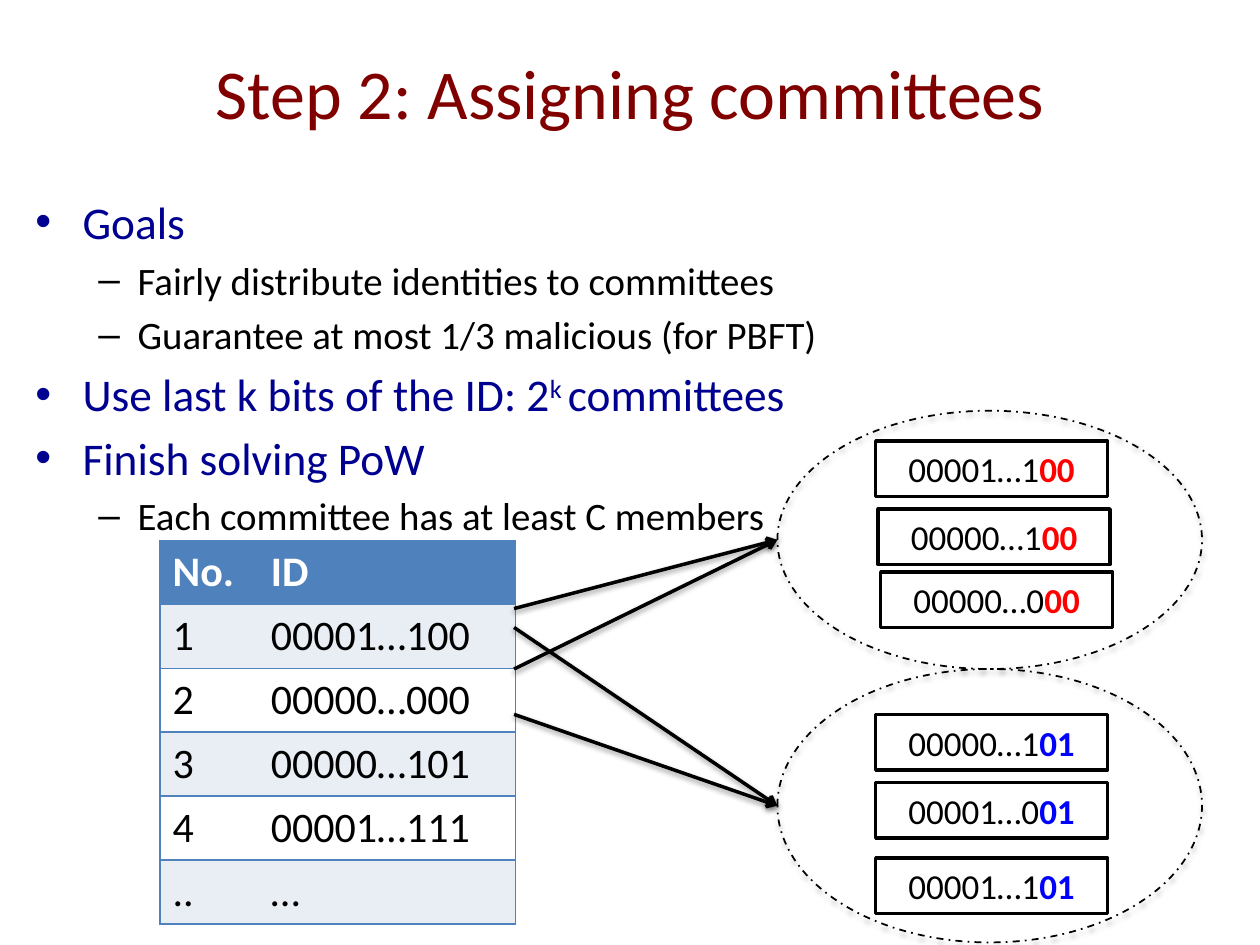
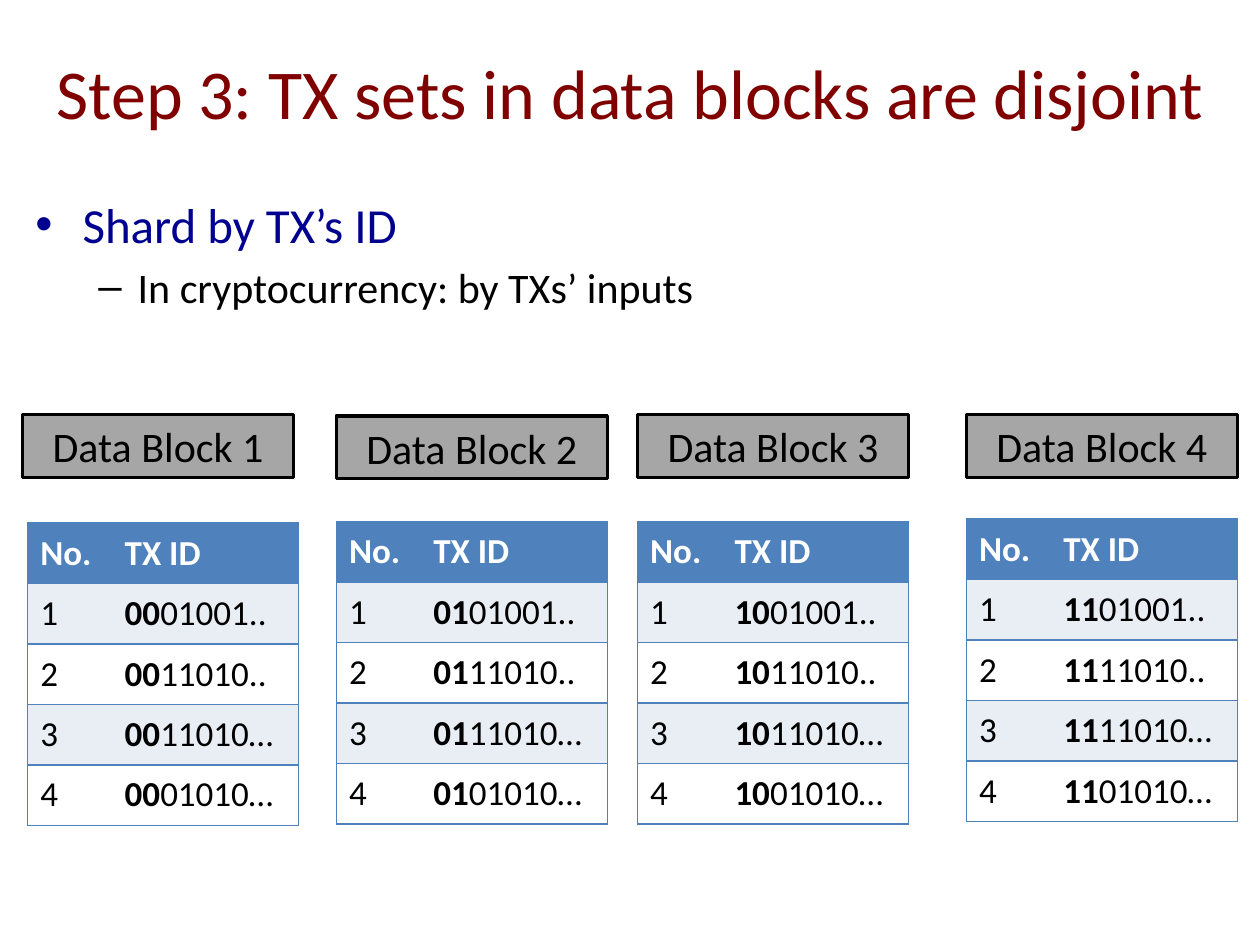
"""Build two slides on committee assignment and disjoint transaction sets."""
from lxml import etree
from pptx import Presentation
from pptx.dml import color
from pptx.enum import dml, shapes, text
from pptx.oxml import ns
from pptx.util import Inches, Pt

FONT = "Calibri"
COLORS = {
    "title": "800000", "topic": "000090", "text": "000000", "white": "FFFFFF",
    "header": "4F81BD", "band": "E9EDF4", "block": "A6A6A6",
    "red": "FF0000", "blue": "0000FF",
}

STEP_2 = "Step 2: Assigning committees"
GOALS = [
    (0, ["Goals"]),
    (1, ["Fairly distribute identities to committees"]),
    (1, ["Guarantee at most 1/3 malicious (for PBFT)"]),
    (0, ["Use last k bits of the ID: 2", "k ", "committees"]),
    (0, ["Finish solving PoW"]),
    (1, ["Each committee has at least C members"]),
]
IDENTITIES = [
    ("No.", "ID"), ("1", "00001…100"), ("2", "00000…000"),
    ("3", "00000…101"), ("4", "00001…111"), ("..", "…"),
]
COMMITTEES = [
    {"top": 3.26, "height": 2.05, "suffix": "00", "color": "red", "arrows_from": [4.83, 5.31],
     "members": [("00001…1", 6.95, 3.5), ("00000…1", 6.97, 4.04), ("00000…0", 6.99, 4.54)]},
    {"top": 5.31, "height": 2.17, "suffix": "01", "color": "blue", "arrows_from": [5.67, 4.98],
     "members": [("00000…1", 6.95, 5.67), ("00001…0", 6.95, 6.21), ("00001…1", 6.95, 6.81)]},
]
COMMITTEE_LEFT, COMMITTEE_WIDTH = 6.17, 3.37
TABLE_RIGHT = 4.08

STEP_3 = "Step 3: TX sets in data blocks are disjoint"
SHARDING = [(0, ["Shard by TX’s ID"]), (1, ["In cryptocurrency: by TXs’ inputs"])]
TX_TAILS = ["01001..", "11010..", "11010…", "01010…"]
BLOCKS = [
    {"prefix": "00", "label_at": (0.18, 3.29), "table_at": (0.22, 4.15)},
    {"prefix": "01", "label_at": (2.67, 3.3), "table_at": (2.67, 4.14)},
    {"prefix": "10", "label_at": (5.06, 3.29), "table_at": (5.06, 4.14)},
    {"prefix": "11", "label_at": (7.67, 3.29), "table_at": (7.67, 4.12)},
]


def rgb(name):
    return color.RGBColor.from_string(COLORS[name])


def style(font, size, name, bold=None):
    font.name, font.size, font.bold = FONT, Pt(size), bold
    font.color.rgb = rgb(name)


def add_slide(prs, title, bullets, height, sizes):
    s = prs.slides.add_slide(prs.slide_layouts[1])
    head, body = s.placeholders
    for sp, box in ((head, (0, 0.3, 10, 0.86)), (body, (0.18, 1.49, 9.63, height))):
        sp.left, sp.top, sp.width, sp.height = map(Inches, box)
        sp.text_frame.auto_size = text.MSO_AUTO_SIZE.NONE
    head.text_frame.text = title
    style(head.text_frame.paragraphs[0].font, 40, "title")
    tf = body.text_frame
    for i, (level, parts) in enumerate(bullets):
        p = tf.add_paragraph() if i else tf.paragraphs[0]
        p.level = level
        style(p.font, sizes[level], ("topic", "text")[level])
        for j, part in enumerate(parts):
            r = p.add_run()
            r.text = part
            if j == 1:
                r._r.get_or_add_rPr().set("baseline", "30000")
    return s


def add_shadow(sp, distance, alpha):
    effects = etree.SubElement(sp._element.spPr, ns.qn("a:effectLst"))
    shadow = etree.SubElement(effects, ns.qn("a:outerShdw"), blurRad="40000",
                              dist=str(distance), dir="5400000", rotWithShape="0")
    tint = etree.SubElement(shadow, ns.qn("a:srgbClr"), val=COLORS["text"])
    etree.SubElement(tint, ns.qn("a:alpha"), val=str(alpha))


def add_box(s, box, fill, size, label, suffix="", suffix_color="text"):
    sp = s.shapes.add_shape(shapes.MSO_SHAPE.RECTANGLE, *map(Inches, box))
    sp.shadow.inherit = False
    sp.fill.solid()
    sp.fill.fore_color.rgb = rgb(fill)
    sp.line.color.rgb, sp.line.width = rgb("text"), Pt(2)
    p = sp.text_frame.paragraphs[0]
    p.alignment = text.PP_ALIGN.CENTER
    style(p.font, size, "text")
    p.add_run().text = label
    if suffix:
        r = p.add_run()
        r.text = suffix
        style(r.font, size, suffix_color, True)


def add_committee(s, top, height, suffix, color, arrows_from, members):
    for label, left, box_top in members:
        add_box(s, (left, box_top, 1.84, 0.44), "white", 20, label, suffix, color)
    oval = s.shapes.add_shape(shapes.MSO_SHAPE.OVAL, *map(
        Inches, (COMMITTEE_LEFT, top, COMMITTEE_WIDTH, height)))
    oval.fill.background()
    oval.line.color.rgb, oval.line.width = rgb("text"), Pt(1)
    oval.line.dash_style = dml.MSO_LINE.DASH_DOT
    add_shadow(oval, 23000, 35000)
    for start in arrows_from:
        arrow = s.shapes.add_connector(shapes.MSO_CONNECTOR.STRAIGHT, *map(
            Inches, (TABLE_RIGHT, start, COMMITTEE_LEFT, top + height / 2)))
        arrow.line.color.rgb, arrow.line.width = rgb("text"), Pt(2)
        etree.SubElement(arrow.line._get_or_add_ln(), ns.qn("a:tailEnd"), type="arrow")
        add_shadow(arrow, 20000, 38000)


def add_border(cell, sides):
    for side in sides:
        ln = etree.SubElement(cell._tc.get_or_add_tcPr(), ns.qn(f"a:ln{side}"), w="12700")
        fill = etree.SubElement(ln, ns.qn("a:solidFill"))
        etree.SubElement(fill, ns.qn("a:srgbClr"), val=COLORS["header"])


def add_grid(s, at, widths, row_height, rows, size, margin, prefix=""):
    frame = s.shapes.add_table(len(rows), len(widths), *map(
        Inches, (*at, sum(widths), row_height * len(rows))))
    table = frame.table
    table._tbl.tblPr.find(ns.qn("a:tableStyleId")).text = "{2D5ABB26-0587-4C30-8999-92F81FD0307C}"
    for column, width in zip(table.columns, widths):
        column.width = Inches(width)
    for i, row in enumerate(rows):
        table.rows[i].height = Inches(row_height)
        for j, value in enumerate(row):
            cell = table.cell(i, j)
            cell.margin_top = cell.margin_bottom = Inches(margin)
            add_border(cell, "RTB" if j else "LTB")
            cell.fill.solid()
            cell.fill.fore_color.rgb = rgb(("white", "band")[i % 2] if i else "header")
            p = cell.text_frame.paragraphs[0]
            style(p.font, size, "text" if i else "white", i == 0)
            if prefix and i and j:
                r = p.add_run()
                r.text, r.font.bold = prefix, True
            p.add_run().text = value


def main():
    prs = Presentation()
    prs.slide_width, prs.slide_height = Inches(10), Inches(7.5)

    s = add_slide(prs, STEP_2, GOALS, 2.55, (25.9, 22.2))
    add_grid(s, (1.27, 4.29), (0.78, 2.04), 0.5, IDENTITIES, 24, 0.05)
    for committee in COMMITTEES:
        add_committee(s, **committee)

    s = add_slide(prs, STEP_3, SHARDING, 5.21, (28, 24))
    for number, block in enumerate(BLOCKS, 1):
        rows = [("No.", "TX ID")] + [(str(i), tail) for i, tail in enumerate(TX_TAILS, 1)]
        add_grid(s, block["table_at"], (0.67, 1.48), 0.47, rows, 20, 0.07, block["prefix"])
        add_box(s, (*block["label_at"], 2.15, 0.5), "block", 24, f"Data Block {number}")

    prs.save("out.pptx")


if __name__ == "__main__":
    main()
